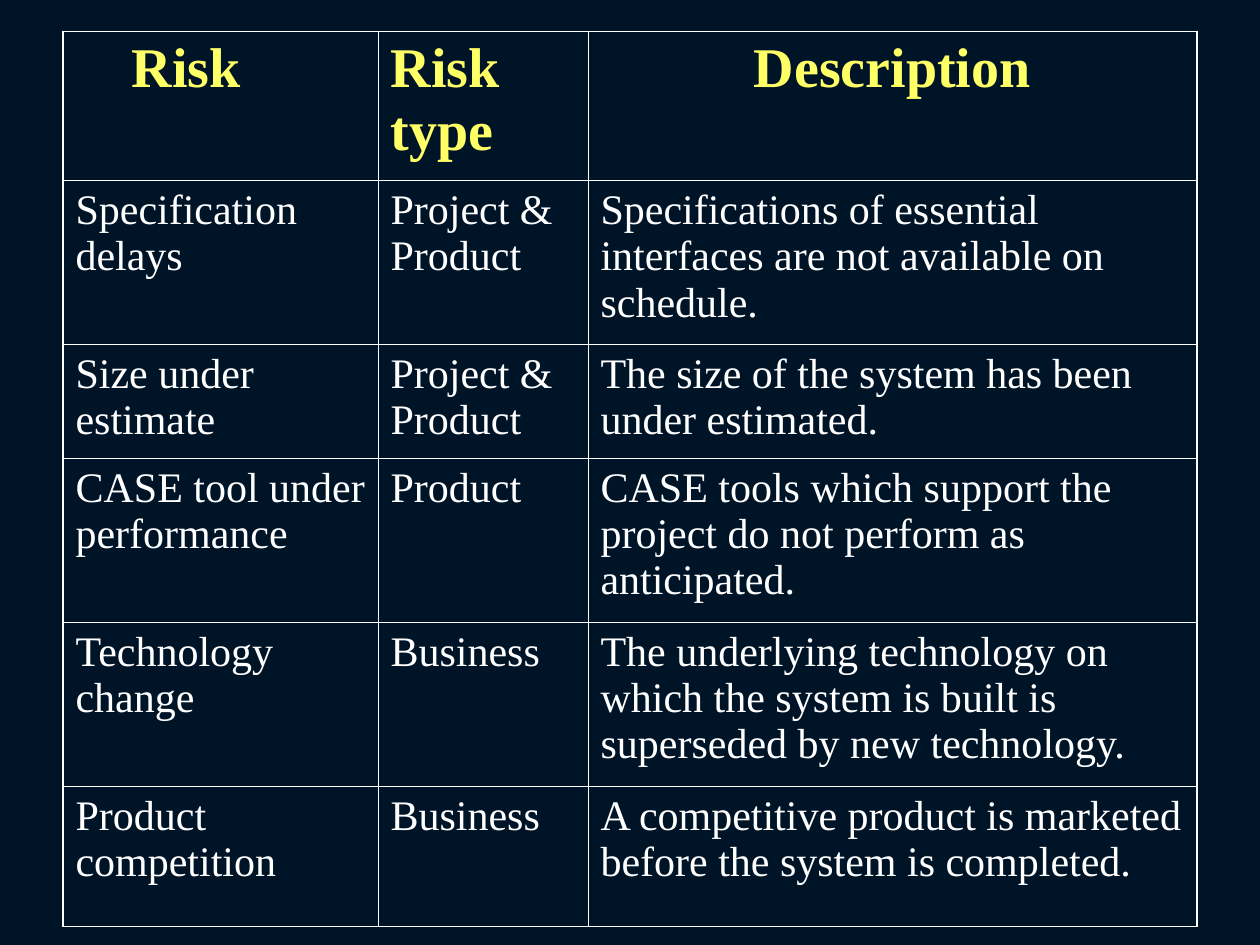
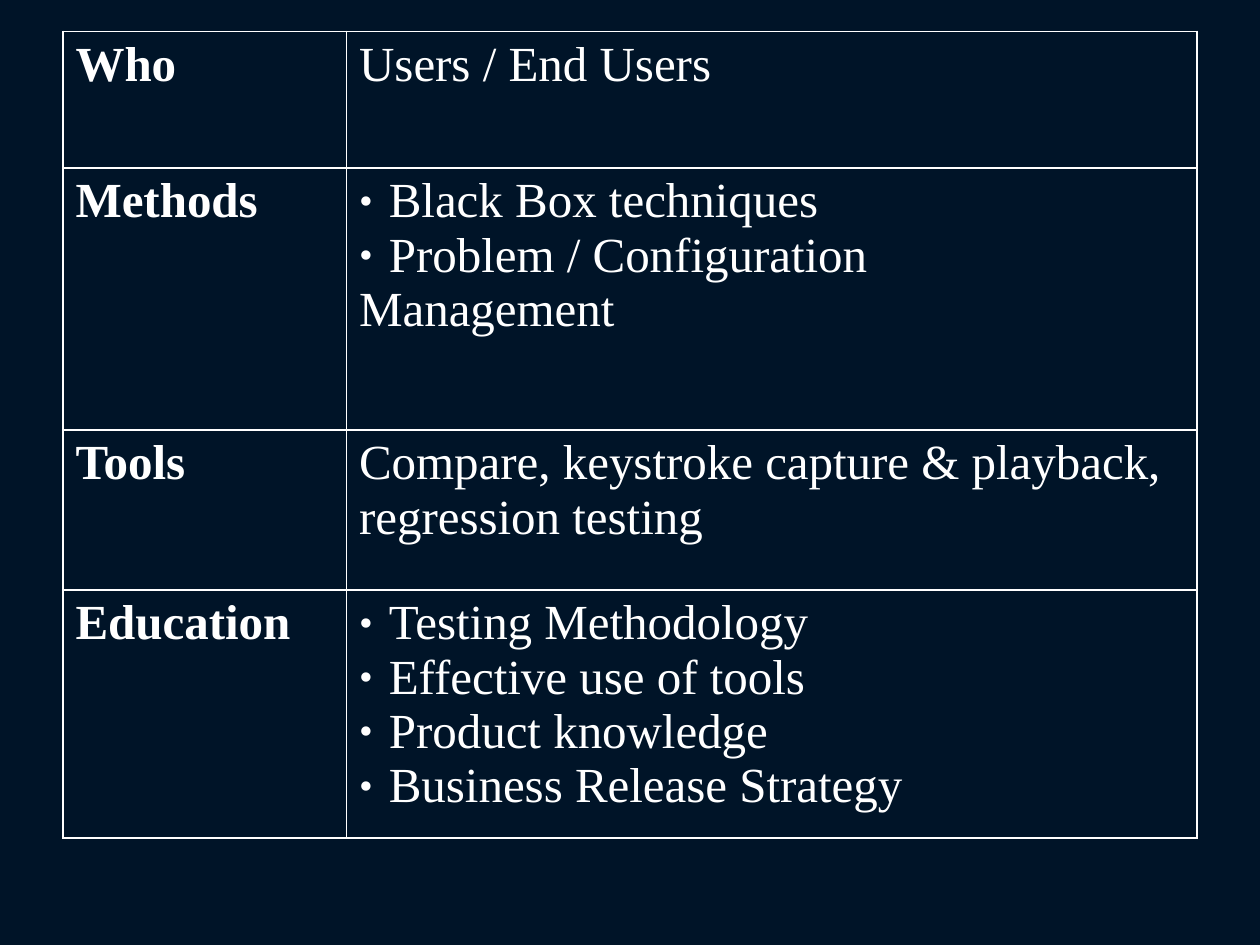
from pptx import Presentation
from pptx.dml.color import RGBColor
from pptx.enum.text import PP_ALIGN as Align
from pptx.oxml.ns import qn
from pptx.util import Pt
from lxml.etree import SubElement

COLORS = {"background": "001428", "text": "FFFFFF", "heading": "FFFF66"}
FONT = "Times New Roman"
TABLE_LEFT, TABLE_TOP = 36, 18
THICK, THIN = 1.08, 0.45
BULLET_INDENT = 17

RISK_HEADINGS = [
    ("Risk", {"margin": 32}),
    ("Risk type", {"align": Align.JUSTIFY}),
    ("Description", {"align": Align.CENTER}),
]
RISKS = [
    ("Specification delays", ["Project &", "Product"],
     "Specifications of essential interfaces are not available on schedule."),
    ("Size under estimate", ["Project &", "Product"],
     "The size of the system has been under estimated."),
    ("CASE tool under performance", ["Product"],
     "CASE tools which support the project do not perform as anticipated."),
    ("Technology change", ["Business"],
     "The underlying technology on which the system is built is "
     "superseded by new technology."),
    ("Product competition", ["Business"],
     "A competitive product is marketed before the system is completed."),
]
RISK_COLUMNS = [180, 120, 348]
RISK_ROWS = [85.2, 93.75, 65, 93.75, 93.75, 80]

# Each detail is a line of text and whether it carries a bullet.
USER_TESTING = [
    ("Who", [("Users / End Users", False)]),
    ("Methods", [("Black Box techniques", True),
                 ("Problem / Configuration", True),
                 ("Management", False)]),
    ("Tools", [("Compare, keystroke capture & playback, regression testing",
                False)]),
    ("Education", [("Testing Methodology", True),
                   ("Effective use of tools", True),
                   ("Product knowledge", True),
                   ("Business Release Strategy", True)]),
]
TESTING_COLUMNS = [162, 486]
TESTING_ROWS = [78, 149.7, 91.4, 141.7]


def rgb(name):
    return RGBColor.from_string(COLORS[name])


def add_solid_fill(parent, color):
    fill = SubElement(parent, qn("a:solidFill"))
    SubElement(fill, qn("a:srgbClr"), val=COLORS[color])


def write(cell, text, size=24, bold=False, color="text", align=Align.LEFT,
          margin=0, bullet=False):
    """Put text in the cell's empty first paragraph, or in a new one."""
    frame = cell.text_frame
    paragraph = frame.paragraphs[0]
    if paragraph.runs:
        paragraph = frame.add_paragraph()
    properties = paragraph._p.get_or_add_pPr()
    if bullet:
        margin = BULLET_INDENT
        properties.set("indent", str(-Pt(margin)))
        bullet_color = SubElement(properties, qn("a:buClr"))
        SubElement(bullet_color, qn("a:srgbClr"), val=COLORS["text"])
        SubElement(properties, qn("a:buSzPct"), val="80000")
        SubElement(properties, qn("a:buFont"), typeface=FONT)
        SubElement(properties, qn("a:buChar"), char="•")
    properties.set("marL", str(Pt(margin)))
    paragraph.alignment = align
    run = paragraph.add_run()
    run.text = text
    run.font.name = FONT
    run.font.size = Pt(size)
    run.font.bold = bold
    run.font.color.rgb = rgb(color)


def set_borders(cell, **widths):
    properties = cell._tc.get_or_add_tcPr()
    for side, width in widths.items():
        line = SubElement(properties, qn(f"a:ln{side}"), w=str(Pt(width)))
        add_solid_fill(line, "text")


def add_grid(presentation, columns, rows, row_line):
    """Add a slide with an empty table: thick frame, thin column lines."""
    slide = presentation.slides.add_slide(presentation.slide_layouts[6])
    table = slide.shapes.add_table(
        len(rows), len(columns), Pt(TABLE_LEFT), Pt(TABLE_TOP),
        Pt(sum(columns)), Pt(sum(rows))).table
    table.first_row = table.horz_banding = False
    for column, width in zip(table.columns, columns):
        column.width = Pt(width)
    for row, height in zip(table.rows, rows):
        row.height = Pt(height)
    last_row, last_column = len(rows) - 1, len(columns) - 1
    for i in range(len(rows)):
        for j in range(len(columns)):
            cell = table.cell(i, j)
            set_borders(cell,
                        L=THICK if j == 0 else THIN,
                        R=THICK if j == last_column else THIN,
                        T=THICK if i == 0 else row_line,
                        B=THICK if i == last_row else row_line)
            cell.fill.background()
    return table


def build_risks(presentation):
    table = add_grid(presentation, RISK_COLUMNS, RISK_ROWS, row_line=THIN)
    for j, (heading, style) in enumerate(RISK_HEADINGS):
        write(table.cell(0, j), heading, size=32, bold=True,
              color="heading", **style)
    for i, (risk, types, description) in enumerate(RISKS, start=1):
        write(table.cell(i, 0), risk)
        for risk_type in types:
            write(table.cell(i, 1), risk_type)
        write(table.cell(i, 2), description)


def build_user_testing(presentation):
    table = add_grid(presentation, TESTING_COLUMNS, TESTING_ROWS,
                     row_line=THICK)
    for i, (topic, details) in enumerate(USER_TESTING):
        write(table.cell(i, 0), topic, size=28, bold=True)
        for text, bullet in details:
            write(table.cell(i, 1), text, size=28, bullet=bullet)


def main():
    presentation = Presentation()
    presentation.slide_width, presentation.slide_height = Pt(720), Pt(540)
    background = presentation.slide_master.background.fill
    background.solid()
    background.fore_color.rgb = rgb("background")
    build_risks(presentation)
    build_user_testing(presentation)
    presentation.save("out.pptx")


if __name__ == "__main__":
    main()
